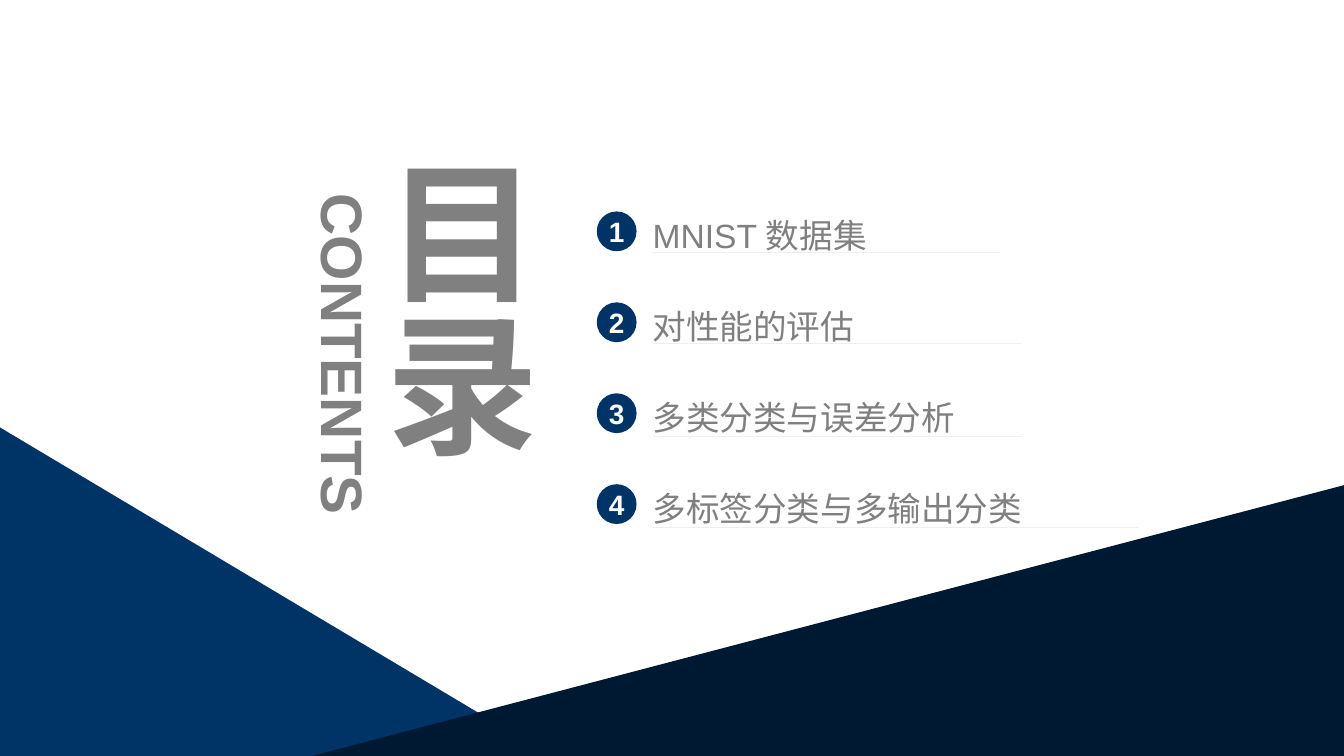
from lxml.etree import SubElement
from pptx import Presentation
from pptx.dml.color import RGBColor
from pptx.enum.shapes import MSO_SHAPE
from pptx.enum.text import MSO_ANCHOR, MSO_AUTO_SIZE, PP_ALIGN
from pptx.oxml.ns import qn
from pptx.util import Pt

WIDTH, HEIGHT = 1012.5, 569.5
GRAY = RGBColor(0x80, 0x80, 0x80)
BLUE = RGBColor(0x00, 0x33, 0x66)
NAVY = RGBColor(0x00, 0x19, 0x33)
WHITE = RGBColor(0xFF, 0xFF, 0xFF)
FONT = "Arial"

ITEMS = [
    ("MNIST 数据集", 262, 35.5),
    ("对性能的评估", 278, 35.5),
    ("多类分类与误差分析", 278, 39.5),
    ("多标签分类与多输出分类", 366, 39.5),
]


def write(sp, text, size, color, bold=False, align=PP_ALIGN.LEFT, spacing=1.0):
    """Put one formatted, vertically centred line of text into a shape."""
    tf = sp.text_frame
    tf.word_wrap = True
    tf.auto_size = MSO_AUTO_SIZE.NONE
    tf.vertical_anchor = MSO_ANCHOR.MIDDLE
    tf.margin_left = tf.margin_right = tf.margin_top = tf.margin_bottom = 0
    p = tf.paragraphs[0]
    p.text = text
    p.alignment = align
    p.line_spacing = spacing
    r = p.runs[0]
    r.font.name = FONT
    r.font.size = Pt(size)
    r.font.bold = bold
    r.font.color.rgb = color
    SubElement(r.font._element, qn("a:ea"), typeface=FONT)


def paint(sp, color):
    """Give a shape a plain fill without line or shadow."""
    sp.shadow.inherit = False
    sp.fill.solid()
    sp.fill.fore_color.rgb = color
    sp.line.fill.background()


def add_text(slide, left, top, width, height, *args, **kwargs):
    """Add a text box with formatted text and return it."""
    sp = slide.shapes.add_textbox(Pt(left), Pt(top), Pt(width), Pt(height))
    write(sp, *args, **kwargs)
    return sp


def add_heading(slide, left, top, width, height):
    """Add the upright Chinese title with the turned English title beside it."""
    title_width, label_length, label_height = 140, 260, 53
    title = add_text(slide, left + width - title_width, top, title_width, height,
                     "目录", 115, GRAY, bold=True)
    title.text_frame._txBody.bodyPr.set("vert", "eaVert")
    label = add_text(slide, left + (label_height - label_length) / 2,
                     top + (height - label_height) / 2, label_length, label_height,
                     "CONTENTS", 44, GRAY, bold=True, align=PP_ALIGN.CENTER)
    label.rotation = 90


def add_underlined(slide, left, top, width, height, text):
    """Add a chapter name in an outline whose base is a hairline rule."""
    x, y, bottom = Pt(left), Pt(top), Pt(top + height)
    builder = slide.shapes.build_freeform(x, bottom)
    builder.add_line_segments([(Pt(left + width), bottom), (x, bottom)], close=True)
    builder.move_to(x, y)
    builder.add_line_segments([(x, y), (x, y)], close=True)
    sp = builder.convert_to_shape()
    paint(sp, GRAY)
    write(sp, text, 25.3, GRAY, spacing=1.3)


def add_item(slide, left, top, number, text, width, height):
    """Add a numbered circle and its underlined chapter name."""
    size, indent, middle = 30, 42, 13.1
    sp = slide.shapes.add_shape(MSO_SHAPE.OVAL, Pt(left), Pt(top), Pt(size), Pt(size))
    paint(sp, BLUE)
    write(sp, str(number), 21.1, WHITE, bold=True, align=PP_ALIGN.CENTER)
    add_underlined(slide, left + indent, top + middle - height / 2, width, height, text)


def add_contents(slide, left, top, pitch):
    """Add the chapter list at an even pitch."""
    for i, item in enumerate(ITEMS):
        add_item(slide, left, top + i * pitch, i + 1, *item)


def add_triangle(slide, points, color):
    """Add a filled triangle through three points."""
    start, *rest = [(Pt(x), Pt(y)) for x, y in points]
    builder = slide.shapes.build_freeform(*start)
    builder.add_line_segments(rest, close=True)
    paint(builder.convert_to_shape(), color)


def add_footer(slide, width, height):
    """Add the two overlapping triangles along the bottom edge."""
    add_triangle(slide, [(0, height - 247.5), (415, height), (0, height)], BLUE)
    add_triangle(slide, [(width, height - 204), (width, height), (235, height)], NAVY)


def main():
    """Build the contents slide and save it."""
    prs = Presentation()
    prs.slide_width, prs.slide_height = Pt(WIDTH), Pt(HEIGHT)
    slide = prs.slides.add_slide(prs.slide_layouts[6])
    add_heading(slide, 233, 117.3, 181.5, 299)
    add_contents(slide, 449.6, 159.3, 68.5)
    add_footer(slide, WIDTH, HEIGHT)
    prs.save("out.pptx")


if __name__ == "__main__":
    main()
